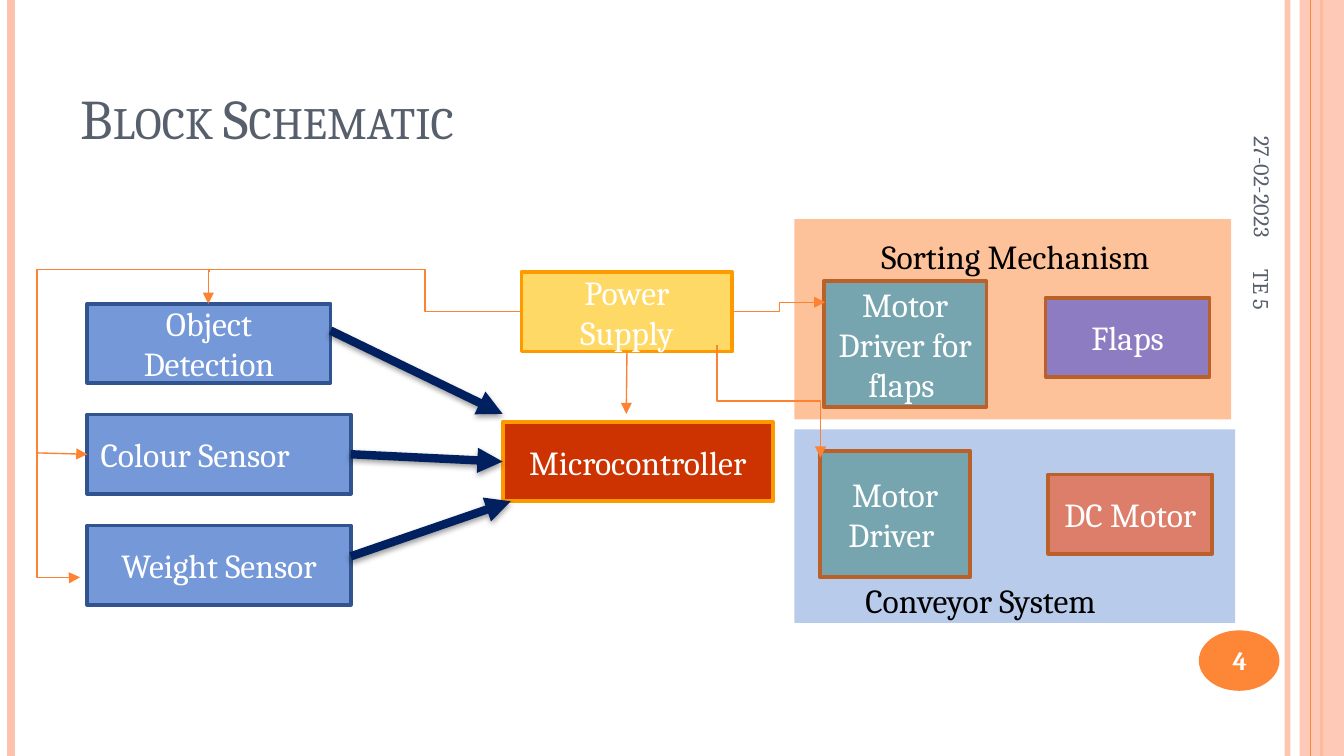
from dataclasses import dataclass
from typing import Optional

from lxml import etree
from pptx import Presentation
from pptx import util as u
from pptx.dml.color import RGBColor
from pptx.enum import shapes, text
from pptx.oxml import ns

COLUMNS, ROWS = 100, 56.25
CELL = u.Inches(0.1)
COLOURS = {
    "peach": "FEC2AC", "orange": "FE8637", "wire": "FD8231", "slate": "575F6D",
    "blue": "7598D9", "blue edge": "31538F", "yellow": "FFD966", "amber": "FF9900",
    "red": "CC3300", "teal": "76A5AF", "brown": "B96128", "violet": "8E7CC3",
    "salmon": "DD7E6B", "navy": "002060", "white": "FFFFFF", "black": "000000",
}
LEFT, CENTRE, RIGHT = text.PP_ALIGN.LEFT, text.PP_ALIGN.CENTER, text.PP_ALIGN.RIGHT
TOP, MIDDLE, BOTTOM = text.MSO_ANCHOR.TOP, text.MSO_ANCHOR.MIDDLE, text.MSO_ANCHOR.BOTTOM
RECTANGLE, OVAL = shapes.MSO_SHAPE.RECTANGLE, shapes.MSO_SHAPE.OVAL
STRAIGHT, ELBOW = shapes.MSO_CONNECTOR.STRAIGHT, shapes.MSO_CONNECTOR.ELBOW
BLOCK_ROWS = 5.9
SIDE_LEFT, SIDE_RIGHT, SIDE_BOTTOM = 1, 3, 2


@dataclass
class Block:
    words: str
    column: float
    row: float
    columns: float
    fill: str
    edge: str
    rows: float = BLOCK_ROWS
    align: text.PP_ALIGN = CENTRE


@dataclass
class Label:
    words: str
    area: tuple
    colour: str
    size: int = 18
    align: text.PP_ALIGN = LEFT
    anchor: text.MSO_ANCHOR = MIDDLE
    turn: int = 0
    bold: bool = False
    small_caps: bool = False


@dataclass
class Line:
    start: tuple
    end: tuple
    colour: str = "wire"
    weight: float = 0.75
    arrow: bool = True
    shadow: bool = False
    alpha: int = 100
    begin: Optional[tuple] = None
    finish: Optional[tuple] = None


@dataclass
class Elbow:
    area: tuple
    turn: int = 0
    flip: str = ""
    preset: str = "bentConnector3"
    bends: tuple = (50,)
    arrow: bool = True


RAILS = [(95.8, "peach", 3, 93), (0.8, "peach", 4.5, 100), (98.3, "orange", 1.5, 100)]
INNER_RAIL = (97.5, "orange", 0.75, 100)
PANELS = [((59.1, 16.3, 32.5, 14.9), "orange"), ((59.1, 31.95, 32.8, 14.4), "blue")]
BLOCKS = [
    Block("Power Supply", 38.8, 20.25, 15.7, "yellow", "amber"),
    Block("Microcontroller", 37.4, 31.4, 20.1, "red", "amber"),
    Block("Object Detection", 6.5, 22.6, 18.1, "blue", "blue edge"),
    Block("Motor Driver ", 61, 33.55, 11.2, "teal", "brown", 9.4),
    Block("Motor Driver for flaps ", 61.3, 20.9, 12.1, "teal", "brown", 9.4),
    Block("Flaps", 77.8, 22.15, 12.2, "violet", "brown"),
    Block("DC Motor ", 78, 35.3, 12.2, "salmon", "brown"),
    Block("Colour Sensor", 6.5, 30.85, 19.6, "blue", "blue edge", align=LEFT),
    Block("Weight Sensor", 6.5, 39.1, 19.6, "blue", "blue edge"),
]
ELBOWS = [
    Elbow((15.5, 22.6, 23.2, 0.6), 180, "", "bentConnector4", (30.5, 523.5)),
    Elbow((54.6, 22.5, 6.8, 0.7), flip="V"),
    Elbow((53, 26, 8.4, 7.7), 270, "H"),
    Elbow((1.5, 38.5, 5.7, 3.2), 270, "H", bends=(100.7,)),
    Elbow((0.6, 22.4, 17.1, 12.8), 90, bends=(-1.2,), arrow=False),
]
THICK = {"colour": "navy", "weight": 4.5, "shadow": True}
ARROWS = [
    Line((46.7, 26.15), (46.6, 30.8), begin=("Power Supply", SIDE_BOTTOM)),
    Line((24.6, 24.6), (37.4, 30.8), **THICK),
    Line((26.1, 41.4), (38, 37.3), **THICK),
    Line((26.1, 33.8), (37.4, 34.3), begin=("Colour Sensor", SIDE_RIGHT),
         finish=("Microcontroller", SIDE_LEFT), **THICK),
    Line((2.7, 33.7), (6.5, 33.8), finish=("Colour Sensor", SIDE_LEFT)),
]
LABELS = [
    Label("Block Schematic", (5, 2.3, 81.7, 9.4), "slate", 30, anchor=BOTTOM, small_caps=True),
    Label("4", (88.9, 47, 6.7, 4.3), "white", 14, CENTRE, bold=True),
    Label("27-02-2023", (85.7, 8.3, 16.5, 4.2), "slate", 12, RIGHT, turn=90),
    Label("TE 5", (80.8, 30.2, 26.2, 4), "slate", 12, turn=90),
    Label("Conveyor System", (63.4, 42.65, 26.6, 4), "black", anchor=TOP),
    Label("Sorting Mechanism", (64.6, 17.1, 25.4, 4), "black", anchor=TOP),
]


def cells(*counts: float) -> list:
    return [u.Emu(round(count * CELL)) for count in counts]


def rgb(name: str) -> RGBColor:
    return RGBColor.from_string(COLOURS[name])


def child(parent, tag: str, **values):
    return etree.SubElement(parent, ns.qn(tag), {key: str(value) for key, value in values.items()})


def set_alpha(element, percent: int) -> None:
    if percent < 100:
        child(next(element.iter(ns.qn("a:srgbClr"))), "a:alpha", val=percent * 1000)


def write(shape, words: str, colour: str, size: int, align, anchor, bold=False, small_caps=False) -> None:
    frame = shape.text_frame
    frame.word_wrap, frame.vertical_anchor = True, anchor
    para = frame.paragraphs[0]
    para.alignment = align
    span = para.add_run()
    span.text = words
    for key, value in {"name": "Cambria", "size": u.Pt(size), "bold": bold}.items():
        setattr(span.font, key, value)
    span.font.color.rgb = rgb(colour)
    if small_caps:
        span.font._element.set("cap", "small")


def draw_plain(page, kind, area: tuple, fill: str, alpha: int = 100):
    shape = page.shapes.add_shape(kind, *cells(*area))
    shape.shadow.inherit = False
    shape.fill.solid()
    shape.fill.fore_color.rgb = rgb(fill)
    set_alpha(shape.element.spPr, alpha)
    shape.line.fill.background()
    return shape


def draw_block(page, block: Block):
    box = draw_plain(page, RECTANGLE, (block.column, block.row, block.columns, block.rows), block.fill)
    box.line.color.rgb = rgb(block.edge)
    box.line.width = u.Pt(2)
    write(box, block.words, "white", 18, block.align, MIDDLE)
    return box


def draw_label(page, label: Label) -> None:
    box = page.shapes.add_textbox(*cells(*label.area))
    box.rotation = label.turn
    write(box, label.words, label.colour, label.size, label.align, label.anchor,
          label.bold, label.small_caps)


def style_line(connector, colour: str, weight: float, arrow: bool, shadow=False, alpha=100) -> None:
    connector.line.color.rgb = rgb(colour)
    connector.line.width = u.Pt(weight)
    properties = connector.element.spPr
    set_alpha(properties, alpha)
    if arrow:
        child(connector.line._get_or_add_ln(), "a:tailEnd", type="triangle")
    effects = child(properties, "a:effectLst")
    if shadow:
        cast = child(effects, "a:outerShdw", blurRad=u.Pt(3.1), dist=u.Pt(1.6), dir=90 * 60000, rotWithShape=0)
        child(child(cast, "a:srgbClr", val=COLOURS["black"]), "a:alpha", val=38000)


def draw_line(page, line: Line, boxes: dict) -> None:
    connector = page.shapes.add_connector(STRAIGHT, *cells(*line.start, *line.end))
    for join, target in ((connector.begin_connect, line.begin), (connector.end_connect, line.finish)):
        if target:
            join(boxes[target[0]], target[1])
    style_line(connector, line.colour, line.weight, line.arrow, line.shadow, line.alpha)


def draw_elbow(page, elbow: Elbow) -> None:
    left, top, width, height = elbow.area
    connector = page.shapes.add_connector(ELBOW, *cells(left, top, left + width, top + height))
    properties = connector.element.spPr
    frame = properties.find(ns.qn("a:xfrm"))
    frame.set("rot", str(elbow.turn * 60000))
    if elbow.flip:
        frame.set("flip" + elbow.flip, "1")
    outline = properties.find(ns.qn("a:prstGeom"))
    outline.set("prst", elbow.preset)
    guides = outline.find(ns.qn("a:avLst"))
    for number, bend in enumerate(elbow.bends, 1):
        child(guides, "a:gd", name=f"adj{number}", fmla=f"val {round(bend * 1000)}")
    style_line(connector, "wire", 0.75, elbow.arrow)


def draw_rail(page, column: float, colour: str, weight: float, alpha: int) -> None:
    draw_line(page, Line((column, 0), (column, ROWS), colour, weight, False, alpha=alpha), {})


def main() -> None:
    deck = Presentation()
    deck.slide_width, deck.slide_height = cells(COLUMNS, ROWS)
    page = deck.slides.add_slide(deck.slide_layouts[6])
    for rail in RAILS:
        draw_rail(page, *rail)
    draw_plain(page, RECTANGLE, (96.7, 0, 3.3, ROWS), "peach", 87)
    draw_rail(page, *INNER_RAIL)
    draw_plain(page, OVAL, (89.2, 46.9, 6, 4.5), "orange")
    for area, fill in PANELS:
        draw_plain(page, RECTANGLE, area, fill, 50)
    boxes = {block.words: draw_block(page, block) for block in BLOCKS}
    for elbow in ELBOWS:
        draw_elbow(page, elbow)
    for arrow in ARROWS:
        draw_line(page, arrow, boxes)
    for label in LABELS:
        draw_label(page, label)
    deck.save("out.pptx")


if __name__ == "__main__":
    main()
